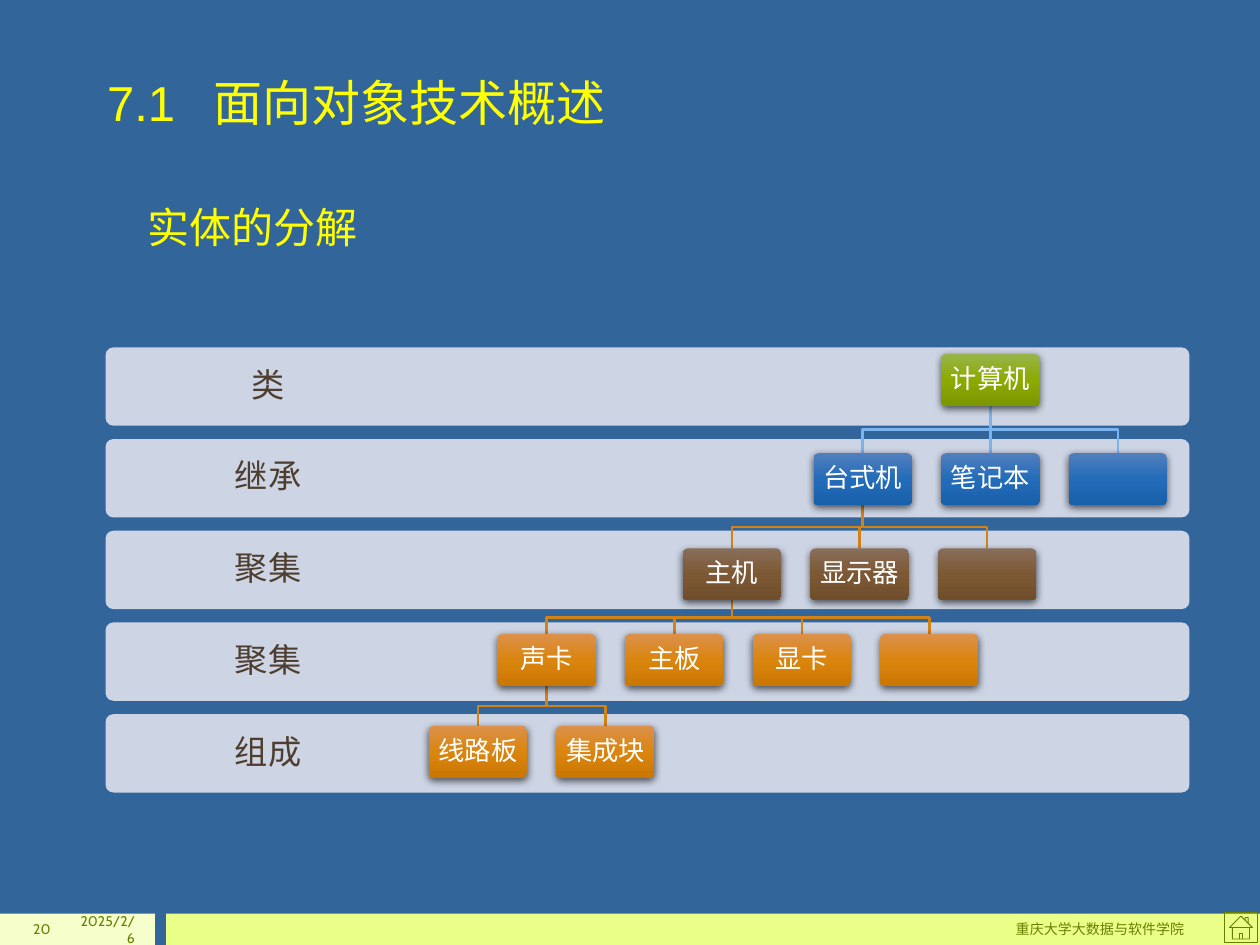
from copy import deepcopy
from lxml.etree import SubElement
from pptx import Presentation
from pptx.dml.color import RGBColor
from pptx.enum.shapes import MSO_CONNECTOR, MSO_SHAPE
from pptx.enum.text import MSO_ANCHOR, PP_ALIGN
from pptx.oxml.ns import qn
from pptx.util import Pt

rgb = RGBColor.from_string


def write(shape, text, size, color, face, align, anchor, pad=(7.2, 3.6), tab=None):
    """Set one formatted paragraph; pad is the side and top inset."""
    frame = shape.text_frame
    frame.word_wrap = True
    frame.vertical_anchor = anchor
    frame.margin_left = frame.margin_right = Pt(pad[0])
    frame.margin_top = frame.margin_bottom = Pt(pad[1])
    frame.text = text
    para = frame.paragraphs[0]
    if tab:
        tabs = SubElement(para._p.get_or_add_pPr(), qn("a:tabLst"))
        SubElement(tabs, qn("a:tab"), pos=str(Pt(tab)), algn="l")
    para.alignment = align
    for run in para.runs:
        run.font.size = Pt(size)
        run.font.name = face
        run.font.color.rgb = rgb(color)
        SubElement(run._r.get_or_add_rPr(), qn("a:ea"), typeface="Noto Sans CJK SC")
    return para


def plain(kind, left, top, width, height, fill=None):
    """Add a shape without line or shadow."""
    shape = slide.shapes.add_shape(kind, Pt(left), Pt(top), Pt(width), Pt(height))
    shape.shadow.inherit = False
    shape.line.fill.background()
    if fill:
        shape.fill.solid()
        shape.fill.fore_color.rgb = rgb(fill)
    else:
        shape.fill.background()
    return shape


deck = Presentation()
deck.slide_width, deck.slide_height = Pt(720), Pt(540)
slide = deck.slides.add_slide(deck.slide_layouts[5])
slide.background.fill.solid()
slide.background.fill.fore_color.rgb = rgb("326599")

# Footer bars and home button
plain(MSO_SHAPE.RECTANGLE, 0, 522, 88.6, 18, "F6FFCC")
plain(MSO_SHAPE.RECTANGLE, 95, 522, 625, 18, "E9FF88")
home = plain(MSO_SHAPE.ACTION_BUTTON_HOME, 699.8, 521.3, 18.7, 17.5)
home.line.color.rgb = rgb("677E00")
home.line.width = Pt(0.5)

# Footer text
for left, width, text in [(36, 48.2, "2025/2/6"),
                          (144, 540, "重庆大学大数据与软件学院"),
                          (0, 36, "20")]:
    note = slide.shapes.add_textbox(Pt(left), Pt(522), Pt(width), Pt(18))
    write(note, text, 8, "688000", "Cabin", PP_ALIGN.RIGHT, MSO_ANCHOR.MIDDLE)

# Title and subtitle
title = slide.shapes.title
title.left, title.top, title.width, title.height = Pt(54), Pt(27.4), Pt(612.7), Pt(51)
write(title, "7.1\t面向对象技术概述", 28, "FFFF00", "Arial",
      PP_ALIGN.LEFT, MSO_ANCHOR.BOTTOM, tab=61)
sub = slide.shapes.add_textbox(Pt(77), Pt(103), Pt(557), Pt(70.6))
para = write(sub, "实体的分解", 24, "FFFF00", "Noto Sans CJK SC",
             PP_ALIGN.LEFT, MSO_ANCHOR.TOP)
para.line_spacing = 1.3

# Lanes
for row, name in enumerate(["类", "继承", "聚集", "聚集", "组成"]):
    top = 198.5 + row * 52.4
    lane = plain(MSO_SHAPE.ROUNDED_RECTANGLE, 60.3, top, 619.4, 44.8, "CDD4E4")
    lane.adjustments[0] = 0.1
    label = slide.shapes.add_textbox(Pt(60.3), Pt(top), Pt(185.8), Pt(44.8))
    para = write(label, name, 19, "4D3E2F", "Cabin", PP_ALIGN.CENTER,
                 MSO_ANCHOR.MIDDLE, (10.8, 10.8))
    para.line_spacing = 0.9

# Tree levels: left, top, gradient, line colour, names
green = ["98B44B", "8BAA00", "7C9700"]
blue = ["527EBD", "236CB9", "1960AA"]
brown = ["896E59", "7C5834", "714E2B"]
gold = ["DB914C", "DA850D", "CA7703"]
levels = [
    (537.8, 202.3, green, None, ["计算机"]),
    (464.9, 259, blue, "79B4F0", ["台式机", "笔记本", ""]),
    (390.2, 313.4, brown, "D18316", ["主机", "显示器", ""]),
    (284.3, 362.3, gold, "D18316", ["声卡", "主板", "显卡", ""]),
    (245, 414.8, gold, "D18316", ["线路板", "集成块"]),
]
wide, high, step = 56.2, 29.7, 72.9

# Branches run from the first node of the level above
for (left, up, *_), (first, down, _, color, names) in zip(levels, levels[1:]):
    start, base = left + wide / 2, up + high
    mid = (base + down) / 2
    for col in range(len(names)):
        end = first + col * step + wide / 2
        if abs(end - start) < 0.5:
            link = slide.shapes.add_connector(
                MSO_CONNECTOR.STRAIGHT, Pt(start), Pt(base), Pt(start), Pt(down))
            SubElement(link._element.spPr, qn("a:effectLst"))
        else:
            pen = slide.shapes.build_freeform(Pt(start), Pt(base))
            pen.add_line_segments([(Pt(start), Pt(mid)), (Pt(end), Pt(mid)),
                                   (Pt(end), Pt(down))], close=False)
            link = pen.convert_to_shape()
            link.fill.background()
            link.shadow.inherit = False
        link.line.color.rgb = rgb(color)
        link.line.width = Pt(1.5)

# Nodes
for first, top, shades, _, names in levels:
    for col, name in enumerate(names):
        node = plain(MSO_SHAPE.ROUNDED_RECTANGLE, first + col * step, top, wide, high)
        node.adjustments[0] = 0.1
        node.fill.gradient()
        node.fill.gradient_angle = 270
        props = node._element.spPr
        stops = props.find(".//" + qn("a:gsLst"))
        stops.insert(1, deepcopy(stops[0]))
        for stop, shade, spot in zip(node.fill.gradient_stops, shades, (0, 0.5, 1)):
            stop.color.rgb = rgb(shade)
            stop.position = spot
        shadow = SubElement(props.find(qn("a:effectLst")), qn("a:outerShdw"),
                            blurRad=str(Pt(4.5)), dist=str(Pt(1.5)),
                            dir="5400000", rotWithShape="0")
        black = SubElement(shadow, qn("a:srgbClr"), val="000000")
        SubElement(black, qn("a:alpha"), val="63000")
        if name:
            para = write(node, name, 15, "FFFFFF", "Cabin", PP_ALIGN.CENTER,
                         MSO_ANCHOR.MIDDLE, (2, 4))
            para.line_spacing = 0.9

deck.save("out.pptx")
